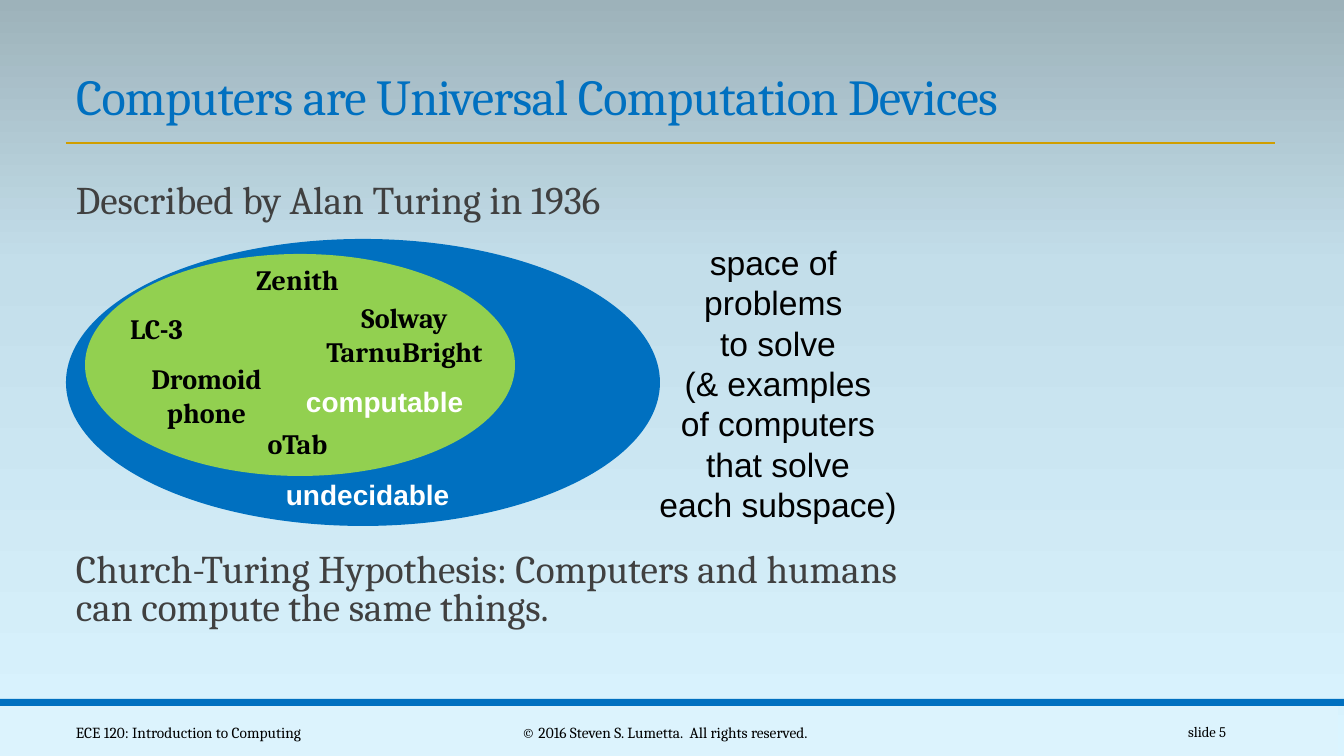
from copy import deepcopy

from lxml.etree import SubElement
from pptx import Presentation
from pptx.dml.color import RGBColor
from pptx.enum.shapes import MSO_CONNECTOR, MSO_SHAPE
from pptx.enum.text import MSO_ANCHOR, MSO_AUTO_SIZE, PP_ALIGN
from pptx.oxml.ns import qn
from pptx.util import Pt

BLUE, GREEN, GOLD = "0070C0", "92D050", "D09E00"
BLACK, WHITE, GREY, PALE = "000000", "FFFFFF", "404040", "DCF3FD"
SERIF, SANS = "Cambria", "Arial"
LEFT, CENTER, RIGHT = PP_ALIGN.LEFT, PP_ALIGN.CENTER, PP_ALIGN.RIGHT


def px(length):
    return round(length * 914400 / 100.8)


def rgb(value):
    return RGBColor.from_string(value)


def apply(target, values):
    for name, value in values.items():
        setattr(target, name, value)


def place(shape, at):
    apply(shape, dict(zip(("left", "top", "width", "height"), map(px, at))))


class SlideBuilder:
    """Holds the text style and the page being built."""

    def __init__(self, page, font=SERIF, color=BLACK):
        self.page, self.font, self.color = page, font, color

    def background(self, stops, angle):
        fill = self.page.background.fill
        fill.gradient()
        fill.gradient_angle = angle
        stop_list = self.page.element.find(".//" + qn("a:gsLst"))
        while len(stop_list) < len(stops):
            stop_list.append(deepcopy(stop_list[-1]))
        for stop, (position, color) in zip(fill.gradient_stops, stops):
            stop.position = position
            stop.color.rgb = rgb(color)

    def shape(self, kind, at, color):
        shape = self.page.shapes.add_shape(kind, *map(px, at))
        shape.shadow.inherit = False
        shape.fill.solid()
        shape.fill.fore_color.rgb = rgb(color)
        shape.line.fill.background()

    def line(self, start, end, color, width):
        line = self.page.shapes.add_connector(
            MSO_CONNECTOR.STRAIGHT, *map(px, start + end))
        line.line.color.rgb = rgb(color)
        line.line.width = Pt(width)
        SubElement(line.element.spPr, qn("a:effectLst"))

    def set_lines(self, frame, lines, size, font=None, color=None, bold=False, **layout):
        for index, words in enumerate(lines):
            para = frame.add_paragraph() if index else frame.paragraphs[0]
            para.text = words
            apply(para, layout)
            for span in para.runs:
                apply(span.font, {"name": font or self.font, "size": Pt(size), "bold": bold})
                span.font.color.rgb = rgb(color or self.color)

    def text(self, at, lines, size, wrap=False, grow=True, **style):
        box = self.page.shapes.add_textbox(*map(px, at))
        apply(box.text_frame, {
            "word_wrap": wrap,
            "auto_size": MSO_AUTO_SIZE.SHAPE_TO_FIT_TEXT if grow else MSO_AUTO_SIZE.NONE,
            "vertical_anchor": MSO_ANCHOR.TOP if grow else MSO_ANCHOR.MIDDLE,
        })
        self.set_lines(box.text_frame, lines, size, **style)

    def title(self, at, words):
        title = self.page.shapes.title
        place(title, at)
        apply(title.text_frame, {"vertical_anchor": MSO_ANCHOR.BOTTOM,
                                 "auto_size": MSO_AUTO_SIZE.NONE})
        self.set_lines(title.text_frame, [words], 36, color=BLUE,
                       alignment=LEFT, line_spacing=0.85)
        for span in title.text_frame.paragraphs[0].runs:
            span._r.get_or_add_rPr().set("spc", "-50")

    def body(self, at, lines, gaps):
        body = self.page.placeholders[1]
        place(body, at)
        frame = body.text_frame
        apply(frame, {"margin_left": 0, "margin_right": 0,
                      "auto_size": MSO_AUTO_SIZE.NONE})
        self.set_lines(frame, lines, 28, color=GREY, line_spacing=0.8, space_after=Pt(2))
        for para, gap in zip(frame.paragraphs, gaps):
            para.space_before = Pt(gap)
            properties = para._p.get_or_add_pPr()
            properties.set("marL", str(px(10)))
            properties.set("indent", "0")
            SubElement(properties, qn("a:buNone"))


def main():
    deck = Presentation()
    apply(deck, {"slide_width": px(1344), "slide_height": px(756)})
    slide = SlideBuilder(deck.slides.add_slide(deck.slide_layouts[1]))
    slide.background([(0, "DAF4FF"), (0.65, "C3DEEA"), (1, "9DB2BA")], 90)

    # Footer band and title rule
    slide.shape(MSO_SHAPE.RECTANGLE, (0, 706, 1338, 50), PALE)
    slide.shape(MSO_SHAPE.RECTANGLE, (0, 699, 1344, 7), BLUE)
    slide.line((66, 143), (1275, 143), GOLD, 2)

    # Title and statements, with room for the diagram between them
    slide.title((66, 59, 1210, 72), "Computers are Universal Computation Devices")
    slide.body((66, 179, 859, 468), [
        "Described by Alan Turing in 1936",
        "Church-Turing Hypothesis: Computers and humans can compute the same things.",
    ], gaps=(12, 235))

    # Footer
    for left, width, words, size, alignment in (
        (66, 328, "ECE 120: Introduction to Computing", 11, LEFT),
        (406, 518, "© 2016 Steven S. Lumetta.  All rights reserved.", 11, CENTER),
        (1092, 144, "slide 5", 10.5, RIGHT),
    ):
        slide.text((left, 712, width, 40), [words], size, wrap=True, grow=False,
                   alignment=alignment)

    # Problem space and its computable subspace
    slide.shape(MSO_SHAPE.OVAL, (66, 239, 594, 287), BLUE)
    slide.shape(MSO_SHAPE.OVAL, (85, 254, 430, 222), GREEN)
    slide.text((648, 237, 260, 295), [
        "space of \nproblems \nto solve\n(& examples",
        "of computers\nthat solve",
        "each subspace)",
    ], 24, font=SANS, alignment=CENTER)
    for at, words in (((276, 473, 185, 44), "undecidable"),
                      ((296, 380, 179, 44), "computable")):
        slide.text(at, [words], 20, font=SANS, color=WHITE, bold=True)

    # Example computers
    for at, lines, wrap in (
        ((112, 307, 89, 44), ["LC-3"], False),
        ((290, 296, 229, 78), ["Solway TarnuBright"], True),
        ((253, 422, 89, 44), ["oTab"], False),
        ((136, 357, 141, 78), ["Dromoid", "phone"], False),
        ((230, 258, 135, 44), ["Zenith"], False),
    ):
        slide.text(at, lines, 20, wrap=wrap, bold=True, alignment=CENTER)

    deck.save("out.pptx")


if __name__ == "__main__":
    main()
